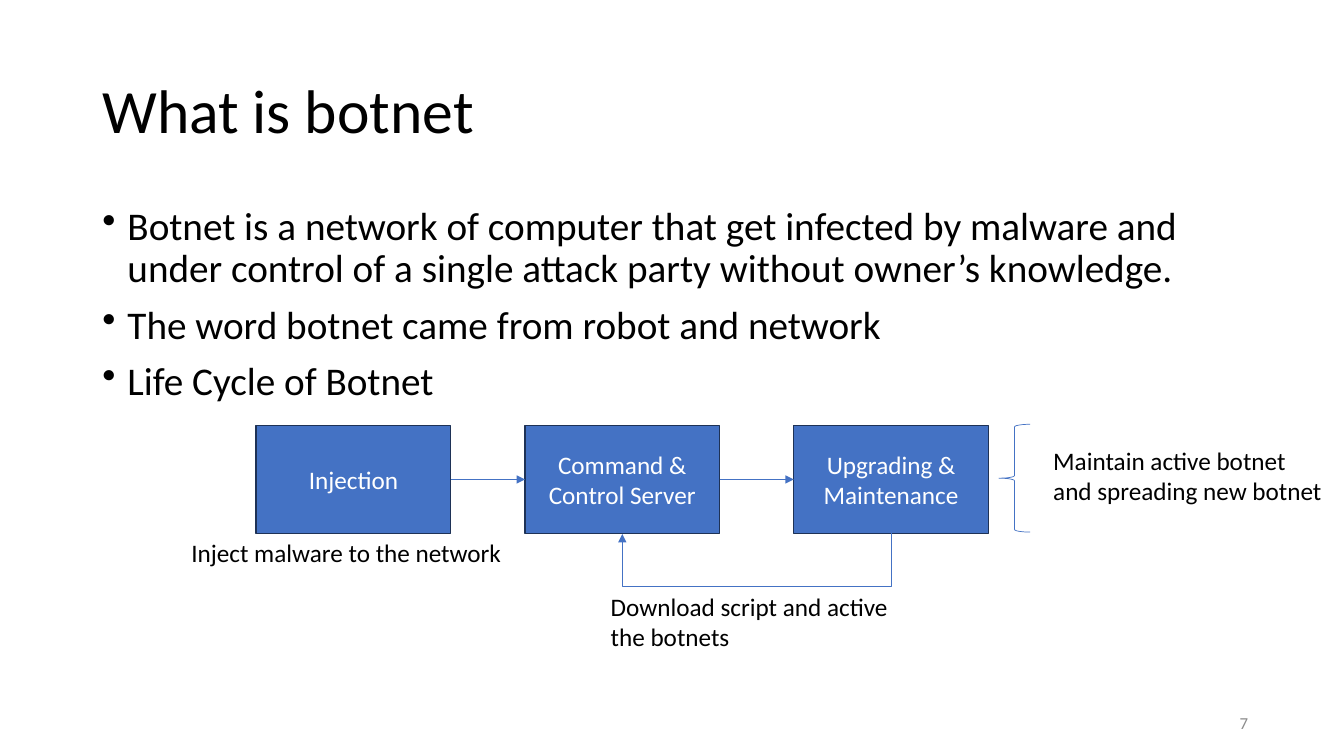
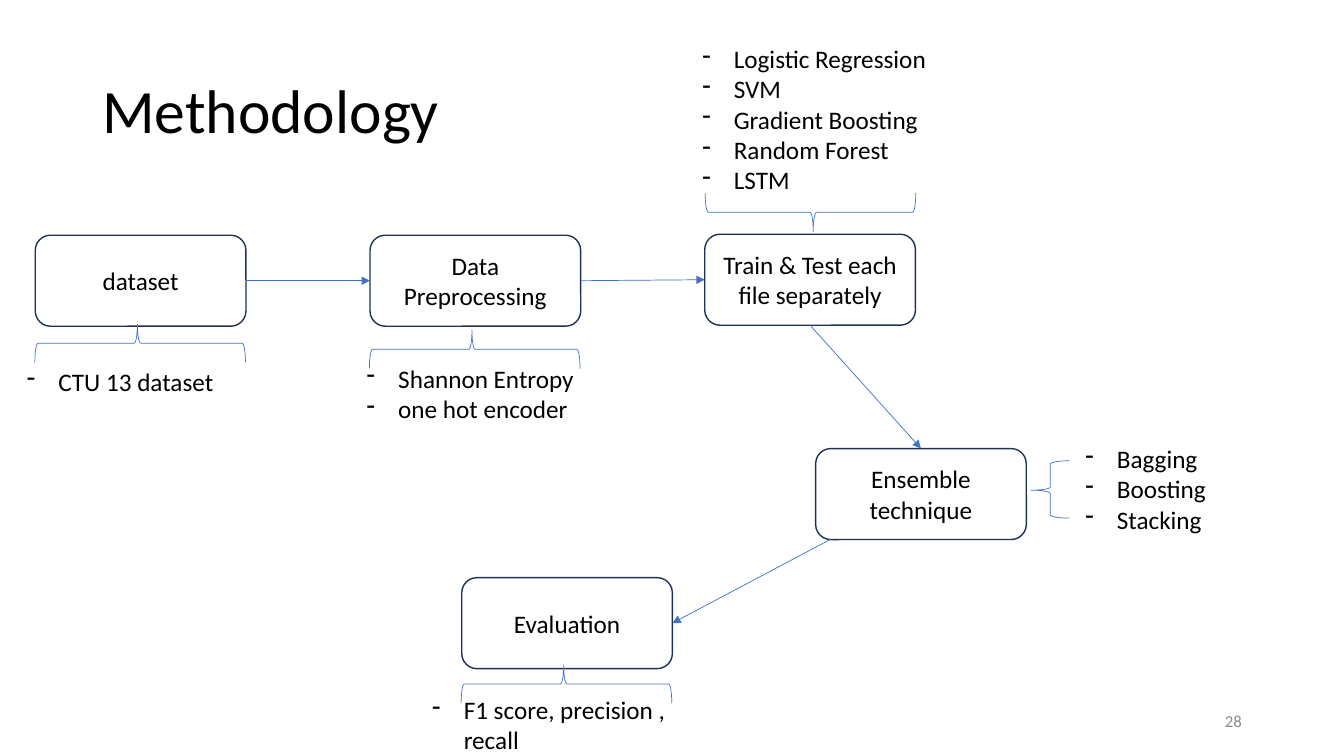
import lxml.etree
import pptx
import pptx.dml.color
import pptx.enum.shapes
import pptx.enum.text
import pptx.oxml.ns
import pptx.util

Pt = pptx.util.Pt
RGB = pptx.dml.color.RGBColor
SHAPE = pptx.enum.shapes.MSO_SHAPE
LINK = pptx.enum.shapes.MSO_CONNECTOR
ALIGN = pptx.enum.text.PP_ALIGN
ANCHOR = pptx.enum.text.MSO_ANCHOR
qn = pptx.oxml.ns.qn

BLACK = RGB(0x00, 0x00, 0x00)
WHITE = RGB(0xFF, 0xFF, 0xFF)
GREY = RGB(0x8C, 0x8C, 0x8C)
BLUE = RGB(0x44, 0x72, 0xC4)
NAVY = RGB(0x1E, 0x32, 0x56)

# Connection sites of a box
TOP, LEFT, BASE, RIGHT = range(4)


class Deck:
    font = "Calibri"
    size = 18

    def __init__(self):
        self.prs = pptx.Presentation()
        self.prs.slide_width, self.prs.slide_height = Pt(960), Pt(540)

    def page(self, title, number, x, y):
        self.slide = self.prs.slides.add_slide(self.prs.slide_layouts[6])
        self.shapes = self.slide.shapes
        self.text([title], 66, 28.8, 828, 104.4, size=44, lead=0.9,
                  anchor=ANCHOR.MIDDLE)
        self.text([number], x, y, 216, 28.8, size=12, color=GREY,
                  align=ALIGN.RIGHT, anchor=ANCHOR.MIDDLE)

    def fill(self, frame, lines, size=None, color=BLACK, align=None,
             lead=None, gap=None, mark=None, indent=0):
        frame.word_wrap = True
        for i, line in enumerate(lines):
            para = frame.add_paragraph() if i else frame.paragraphs[0]
            para.text = line
            if mark:
                props = para._p.get_or_add_pPr()
                props.set("marL", str(Pt(indent)))
                props.set("indent", str(-Pt(indent)))
                lxml.etree.SubElement(props, qn("a:buChar"), char=mark)
            if align is not None:
                para.alignment = align
            if lead:
                para.line_spacing = lead
            if gap:
                para.space_before = Pt(gap)
            para.font.name = self.font
            para.font.size = Pt(size or self.size)
            para.font.color.rgb = color

    def text(self, lines, x, y, w, h, anchor=ANCHOR.TOP, **style):
        box = self.shapes.add_textbox(Pt(x), Pt(y), Pt(w), Pt(h))
        box.text_frame.vertical_anchor = anchor
        self.fill(box.text_frame, lines, **style)

    def dashes(self, lines, x, y, h):
        self.text(lines, x, y, 196.5, h, mark="-", indent=22.5)

    def shape(self, kind, x, y, w, h, line, width, back=None):
        item = self.shapes.add_shape(kind, Pt(x), Pt(y), Pt(w), Pt(h))
        item.shadow.inherit = False
        if back is None:
            item.fill.background()
        else:
            item.fill.solid()
            item.fill.fore_color.rgb = back
        item.line.color.rgb = line
        item.line.width = Pt(width)
        return item

    def box(self, label, kind, x, y, w, h, color=BLACK, back=None):
        item = self.shape(kind, x, y, w, h, NAVY, 1, back)
        item.text_frame.vertical_anchor = ANCHOR.MIDDLE
        self.fill(item.text_frame, [label], color=color, align=ALIGN.CENTER)
        return item

    def brace(self, x, y, span, turn):
        """Draw a brace centred on x, y and turned by the given degrees."""
        depth = 27.4
        item = self.shape(SHAPE.RIGHT_BRACE, x - depth / 2, y - span / 2,
                          depth, span, BLUE, 0.5)
        item.adjustments[1] = 0.487
        item.rotation = turn

    def line(self, kind, x1, y1, x2, y2):
        link = self.shapes.add_connector(kind, Pt(x1), Pt(y1), Pt(x2), Pt(y2))
        link.line.color.rgb = BLUE
        link.line.width = Pt(0.5)
        ln = link.line._get_or_add_ln()
        lxml.etree.SubElement(ln, qn("a:tailEnd"), type="triangle")
        lxml.etree.SubElement(link._element.spPr, qn("a:effectLst"))
        return link

    def arrow(self, end, into=LEFT, start=None, out=RIGHT, x=0, y=0):
        """Join two boxes, or the point x, y and a box."""
        link = self.line(LINK.STRAIGHT, x, y, x, y)
        if start is not None:
            link.begin_connect(start, out)
        link.end_connect(end, into)

    def loop(self, x1, x2, y, drop):
        """Lead from x1 down and back up to x2."""
        span, mid = x1 - x2, (x1 + x2) / 2
        link = self.line(LINK.ELBOW, mid - 0.5, y - span / 2,
                         mid + 0.5, y + span / 2)
        props = link._element.spPr
        props.find(qn("a:xfrm")).set("rot", "5400000")
        guides = props.find(qn("a:prstGeom")).find(qn("a:avLst"))
        lxml.etree.SubElement(guides, qn("a:gd"), name="adj1",
                              fmla=f"val {round(drop * 100000)}")


deck = Deck()

# What is botnet
deck.page("What is botnet", "7", 682.6, 501.8)
deck.text(["Botnet is a network of computer that get infected by malware and "
           "under control of a single attack party without owner’s knowledge.",
           "The word botnet came from robot and network",
           "Life Cycle of Botnet"],
          66, 144, 828, 342.7, size=28, lead=0.9, gap=10, mark="•", indent=18)

# Life cycle
stages = ["Injection", "Command & Control Server", "Upgrading & Maintenance"]
cycle = [deck.box(name, SHAPE.RECTANGLE, 183 + 192 * i, 304, 139, 77,
                  WHITE, BLUE) for i, name in enumerate(stages)]
for start, end in zip(cycle, cycle[1:]):
    deck.arrow(end, start=start)
deck.loop(636.5, 444.5, 381, 38.9)

# Remarks on the stages
deck.text(["Inject malware to the network"], 129.6, 380.2, 239, 29)
deck.text(["Download script and active the botnets"], 429.1, 419, 239, 51)
deck.text(["Maintain active botnet and spreading new botnet"],
          745.2, 314.6, 207.4, 51)
deck.shape(SHAPE.LEFT_BRACE, 713.5, 303.1, 22.3, 77, BLUE, 0.5)

# Methodology
deck.page("Methodology", "28", 678.2, 500.4)
WIDE, HIGH, STEP = 150.5, 65, 239.1
steps = [("dataset", 25.2, 168),
         ("Data Preprocessing", 25.2 + STEP, 168),
         ("Train & Test each file separately", 25.2 + 2 * STEP, 167.3),
         ("Ensemble technique", 582.6, 320.4),
         ("Evaluation", 329.8, 412.6)]
data, prep, train, group, rate = [
    deck.box(name, SHAPE.ROUNDED_RECTANGLE, x, y, WIDE, HIGH)
    for name, x, y in steps]

# Flow
deck.arrow(prep, start=data)
deck.arrow(train, start=prep)
deck.arrow(group, TOP, start=train, out=BASE)
deck.arrow(rate, RIGHT, x=593.3, y=385.2)

# Details of each step
for x, y, span, turn in [(100.1, 245.2, WIDE, 270), (339.1, 249.5, WIDE, 270),
                         (578.9, 151.6, WIDE, 90), (750.2, 349.6, 41, 180),
                         (404.6, 488.5, WIDE, 270)]:
    deck.brace(x, y, span, turn)
deck.dashes(["CTU 13 dataset"], 12.2, 257.8, 51)
deck.dashes(["Shannon Entropy", "one hot encoder"], 254.9, 255.6, 72.7)
deck.dashes(["Logistic Regression", "SVM", "Gradient Boosting",
             "Random Forest", "LSTM"], 494.6, 27.4, 116.6)
deck.dashes(["Bagging", "Boosting", "Stacking"], 768.2, 313.2, 72.7)
deck.dashes(["F1 score, precision , recall"], 301.7, 492.5, 47.5)

deck.prs.save("out.pptx")
